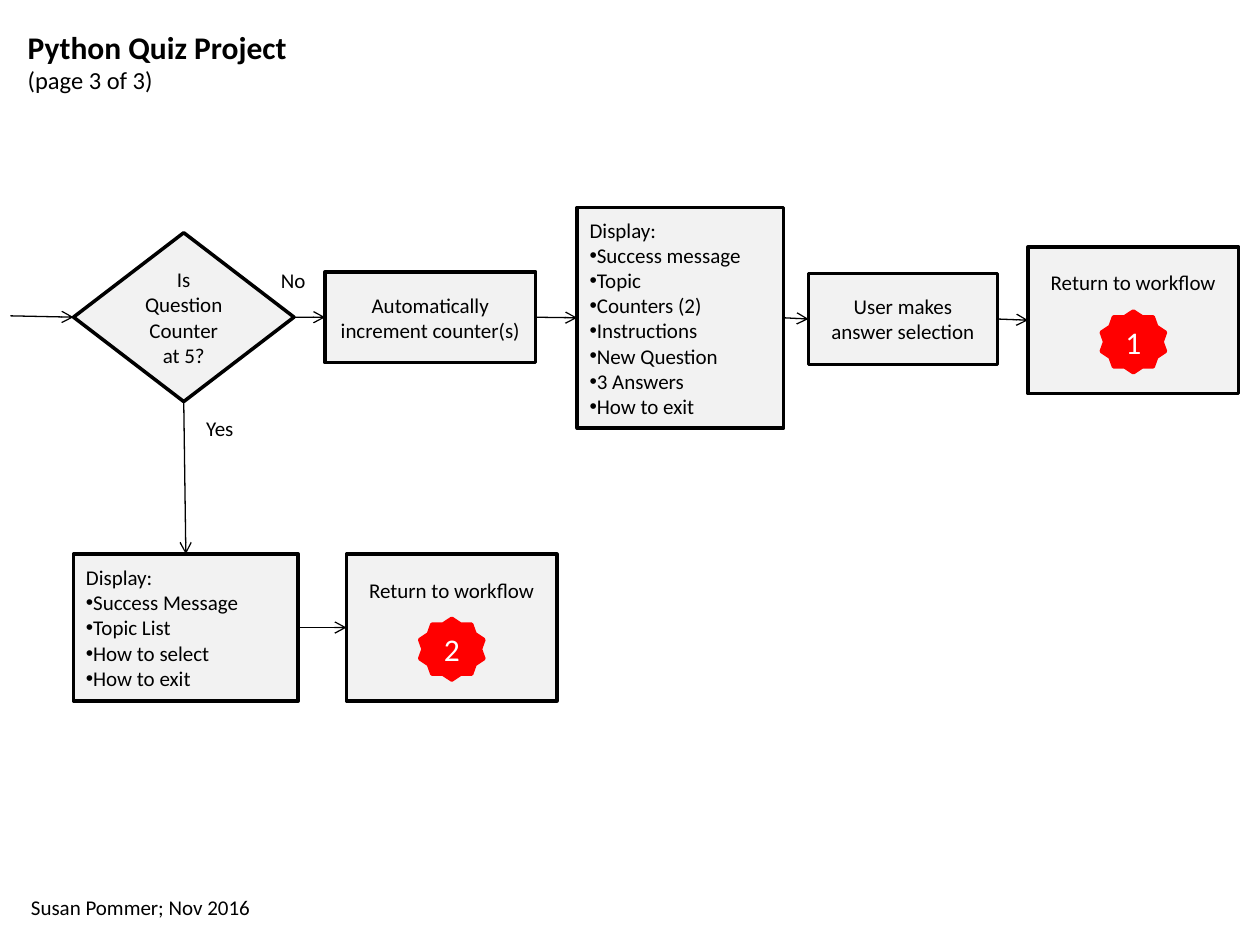
from lxml import etree
from pptx import Presentation
from pptx.dml.color import RGBColor
from pptx.enum.shapes import MSO_CONNECTOR, MSO_SHAPE
from pptx.enum.text import MSO_ANCHOR, MSO_AUTO_SIZE, PP_ALIGN
from pptx.oxml.ns import qn
from pptx.util import Pt

PROCESS = MSO_SHAPE.FLOWCHART_PROCESS
DECISION = MSO_SHAPE.FLOWCHART_DECISION
STAR = MSO_SHAPE.STAR_10_POINT
STRAIGHT = MSO_CONNECTOR.STRAIGHT
LEFT, CENTER = PP_ALIGN.LEFT, PP_ALIGN.CENTER
TOP, MIDDLE = MSO_ANCHOR.TOP, MSO_ANCHOR.MIDDLE
FIT_SHAPE = MSO_AUTO_SIZE.SHAPE_TO_FIT_TEXT

TOP_SIDE, LEFT_SIDE, BOTTOM_SIDE, RIGHT_SIDE = range(4)
BLACK, WHITE, GREY, RED = "000000", "FFFFFF", "F2F2F2", "FF0000"
FONT = "Calibri"


def color(hex_value):
    return RGBColor.from_string(hex_value)


def write(paragraph, text, size=12, ink=BLACK, bold=False, align=LEFT, bullet=False):
    """Put one formatted run in a paragraph."""
    paragraph.alignment = align
    run = paragraph.add_run()
    run.text = text
    run.font.name = FONT
    run.font.size = Pt(size)
    run.font.bold = bold
    run.font.color.rgb = color(ink)
    if bullet:
        props = paragraph._p.get_or_add_pPr()
        props.set("marL", "0")
        props.set("indent", str(-Pt(7.2)))
        etree.SubElement(props, qn("a:buFont")).set("typeface", "Arial")
        etree.SubElement(props, qn("a:buChar")).set("char", "•")


def add_step(slide, kind, bounds, text="", fill=GREY, line=BLACK, **text_format):
    """Add an outlined flowchart shape."""
    step = slide.shapes.add_shape(kind, *map(Pt, bounds))
    step.shadow.inherit = False
    step.fill.solid()
    step.fill.fore_color.rgb = color(fill)
    step.line.color.rgb = color(line)
    step.line.width = Pt(2)
    frame = step.text_frame
    frame.word_wrap = True
    frame.vertical_anchor = MIDDLE
    if text:
        write(frame.paragraphs[0], text, **{"align": CENTER, **text_format})
    return step


def add_display(slide, bounds, items):
    """Add a step that lists what is displayed."""
    display = add_step(slide, PROCESS, bounds, "Display:", align=LEFT)
    for item in items:
        write(display.text_frame.add_paragraph(), item, bullet=True)
    return display


def add_return(slide, left, top, number):
    """Add a return step with its numbered star."""
    step = add_step(slide, PROCESS, (left, top, 120.2, 84), "Return to workflow")
    step.text_frame.vertical_anchor = TOP
    step.text_frame.margin_top = Pt(13.2)
    star = add_step(slide, STAR, (left + 41.8, top + 36.7, 36.7, 35.3),
                    number, fill=RED, line=RED, size=18, ink=WHITE)
    star.text_frame.word_wrap = False
    return step


def add_arrow(slide, start, end):
    """Add a thin straight arrow between two points."""
    arrow = slide.shapes.add_connector(STRAIGHT, *map(Pt, start + end))
    arrow.line.color.rgb = color(BLACK)
    arrow.line.width = Pt(0.75)
    line = arrow.line._get_or_add_ln()
    etree.SubElement(line, qn("a:tailEnd")).set("type", "arrow")
    etree.SubElement(arrow._element.spPr, qn("a:effectLst"))
    return arrow


def join(slide, source, target, source_side=RIGHT_SIDE, target_side=LEFT_SIDE):
    """Connect the sides of two steps with an arrow."""
    arrow = add_arrow(slide, (0, 0), (0, 0))
    arrow.begin_connect(source, source_side)
    arrow.end_connect(target, target_side)


def add_label(slide, bounds, text):
    label = slide.shapes.add_textbox(*map(Pt, bounds))
    label.text_frame.word_wrap = False
    label.text_frame.auto_size = FIT_SHAPE
    write(label.text_frame.paragraphs[0], text)


def fill_title(slide):
    title = slide.shapes.title
    title.left, title.top, title.width, title.height = map(Pt, (8.6, 12.2, 168.5, 46.1))
    frame = title.text_frame
    frame.word_wrap = False
    frame.auto_size = FIT_SHAPE
    frame.vertical_anchor = TOP
    write(frame.paragraphs[0], "Python Quiz Project", size=18, bold=True)
    write(frame.add_paragraph(), "(page 3 of 3)", size=14)


def main():
    prs = Presentation()
    prs.slide_width, prs.slide_height = Pt(720), Pt(540)
    slide = prs.slides.add_slide(prs.slide_layouts[5])
    fill_title(slide)

    # Upper row: next question
    question_check = add_step(slide, DECISION, (42, 133, 126, 96.5),
                              "Is Question Counter at 5?")
    increment = add_step(slide, PROCESS, (185.8, 155.3, 120.2, 52),
                         "Automatically increment counter(s)")
    next_question = add_display(slide, (329.8, 118.6, 118, 126), [
        "Success message", "Topic", "Counters (2)", "Instructions",
        "New Question", "3 Answers", "How to exit"])
    selection = add_step(slide, PROCESS, (462, 156.3, 108, 52),
                         "User makes answer selection")
    return_one = add_return(slide, 587.5, 141, "1")

    # Lower row: topic finished
    topic_list = add_display(slide, (42, 316.6, 128.4, 84), [
        "Success Message", "Topic List", "How to select", "How to exit"])
    return_two = add_return(slide, 198, 316.6, "2")

    # Flow arrows
    entry = add_arrow(slide, (6, 180.5), (42, 181.25))
    entry.end_connect(question_check, LEFT_SIDE)
    upper_row = [question_check, increment, next_question, selection, return_one]
    for source, target in zip(upper_row, upper_row[1:]):
        join(slide, source, target)
    join(slide, question_check, topic_list, BOTTOM_SIDE, TOP_SIDE)
    join(slide, topic_list, return_two)

    # Branch labels and author line
    add_label(slide, (110.7, 234, 30.2, 21.8), "Yes")
    add_label(slide, (153.4, 149.3, 28.8, 21.8), "No")
    add_label(slide, (10.6, 507.6, 141.1, 21.8), "Susan Pommer; Nov 2016")

    prs.save("out.pptx")


if __name__ == "__main__":
    main()
